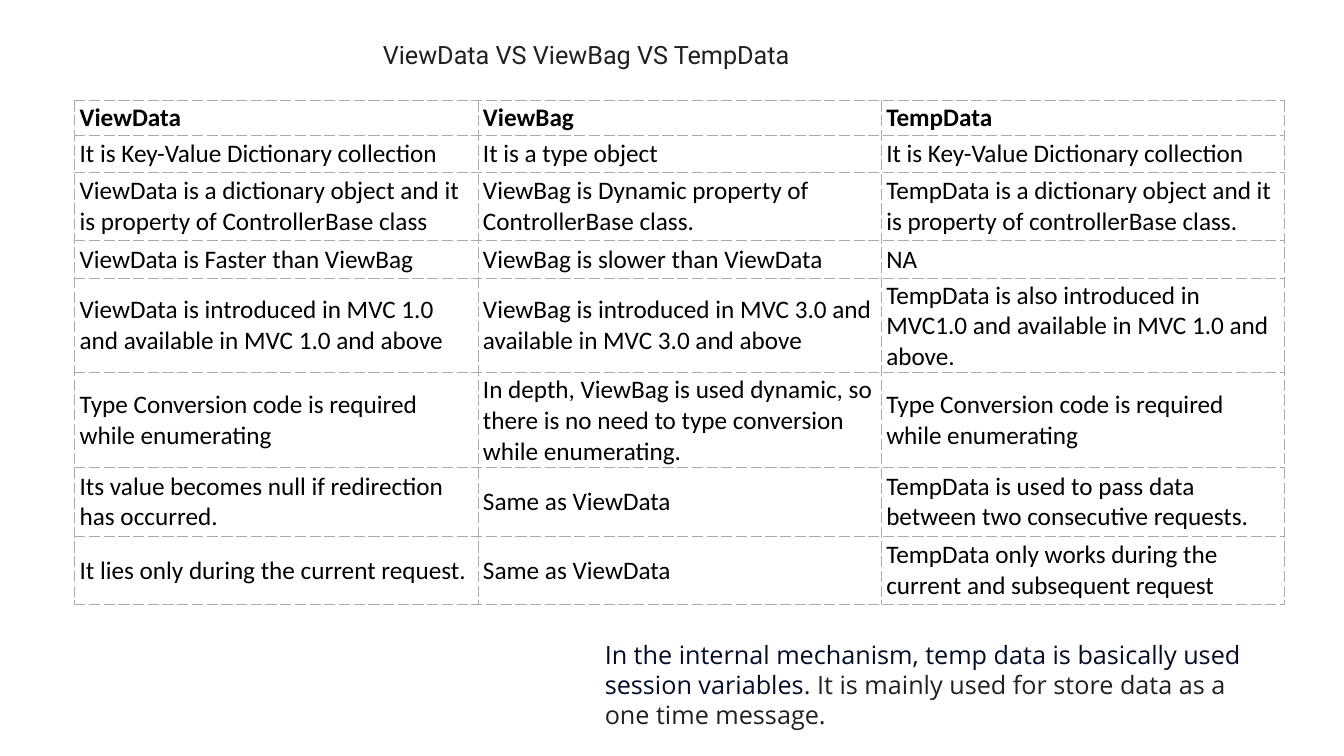
from dataclasses import dataclass

from lxml.etree import SubElement
from pptx import Presentation
from pptx.dml.color import RGBColor
from pptx.enum.text import MSO_ANCHOR as Anchor, MSO_AUTO_SIZE as AutoSize, PP_ALIGN as Align
from pptx.oxml.ns import qn
from pptx.util import Inches, Pt


@dataclass
class Span:
    text: str
    color: str


@dataclass
class Caption:
    left: float
    top: float
    width: float
    height: float
    font: str
    align: Align
    spans: list[Span]


TEXT_SIZE = 18
COLUMN_WIDTH = 4.0
ROW_HEIGHTS = [0.21, 0.37, 0.68, 0.37, 0.84, 0.84, 0.68, 0.68]
COMPARISON = [
    ("ViewData", "ViewBag", "TempData"),
    ("It is Key-Value Dictionary collection",
     "It is a type object",
     "It is Key-Value Dictionary collection"),
    ("ViewData is a dictionary object and it is property of ControllerBase class",
     "ViewBag is Dynamic property of ControllerBase class.",
     "TempData is a dictionary object and it is property of controllerBase class."),
    ("ViewData is Faster than ViewBag",
     "ViewBag is slower than ViewData",
     "NA"),
    ("ViewData is introduced in MVC 1.0 and available in MVC 1.0 and above",
     "ViewBag is introduced in MVC 3.0 and available in MVC 3.0 and above",
     "TempData is also introduced in MVC1.0 and available in MVC 1.0 and above."),
    ("Type Conversion code is required while enumerating",
     "In depth, ViewBag is used dynamic, so there is no need to type conversion while enumerating.",
     "Type Conversion code is required while enumerating"),
    ("Its value becomes null if redirection has occurred.",
     "Same as ViewData",
     "TempData is used to pass data between two consecutive requests."),
    ("It lies only during the current request.",
     "Same as ViewData",
     "TempData only works during the current and subsequent request"),
]
TITLE = Caption(2.48, 0.34, 6.67, 0.4, "Roboto", Align.CENTER,
                [Span("ViewData VS ViewBag VS TempData", "212121")])
FOOTNOTE = Caption(5.9, 6.29, 6.67, 1.01, "Open Sans", Align.LEFT, [
    Span("In the internal mechanism, temp data is basically used session variables", "040C28"),
    Span(". It is mainly used for store data as a one time message.", "202124"),
])


def paint(target, color: str) -> None:
    """Colour a font or a solid fill."""
    target.color.rgb = RGBColor.from_string(color)


def add_caption(page, caption: Caption) -> None:
    box = page.shapes.add_textbox(Inches(caption.left), Inches(caption.top),
                                  Inches(caption.width), Inches(caption.height))
    frame = box.text_frame
    frame.word_wrap = True
    frame.auto_size = AutoSize.SHAPE_TO_FIT_TEXT
    para = frame.paragraphs[0]
    para.alignment = caption.align
    para.font.name = caption.font
    para.font.size = Pt(TEXT_SIZE)
    for span in caption.spans:
        run = para.add_run()
        run.text = span.text
        paint(run.font, span.color)


def add_borders(cell, color: str, width: float) -> None:
    properties = cell._tc.get_or_add_tcPr()
    for side in ("a:lnL", "a:lnR", "a:lnT", "a:lnB"):
        line = SubElement(properties, qn(side), w=str(Pt(width)))
        fill = SubElement(line, qn("a:solidFill"))
        SubElement(fill, qn("a:srgbClr"), val=color)
        SubElement(line, qn("a:prstDash"), val="dash")


def fill_cell(cell, text: str, bold: bool) -> None:
    cell.text = text
    cell.vertical_anchor = Anchor.MIDDLE
    cell.margin_left = cell.margin_right = Inches(0.05)
    cell.margin_top = cell.margin_bottom = Inches(0.02)
    font = cell.text_frame.paragraphs[0].font
    font.name = "Calibri"
    font.size = Pt(TEXT_SIZE)
    font.bold = bold
    paint(font, "000000")
    add_borders(cell, "ABABAB", 0.6)
    cell.fill.solid()
    cell.fill.fore_color.rgb = RGBColor.from_string("FFFFFF")


def add_comparison(page) -> None:
    columns = len(COMPARISON[0])
    table = page.shapes.add_table(
        len(COMPARISON), columns, Inches(0.74), Inches(1),
        Inches(columns * COLUMN_WIDTH), Inches(sum(ROW_HEIGHTS))).table
    table.first_row = table.horz_banding = False
    for column in table.columns:
        column.width = Inches(COLUMN_WIDTH)
    for index, (height, texts) in enumerate(zip(ROW_HEIGHTS, COMPARISON)):
        row = table.rows[index]
        row.height = Inches(height)
        for cell, text in zip(row.cells, texts):
            fill_cell(cell, text, bold=index == 0)


def main() -> None:
    deck = Presentation()
    deck.slide_width, deck.slide_height = Inches(13.33), Inches(7.5)
    page = deck.slides.add_slide(deck.slide_layouts[6])

    # Title, comparison table and closing remark
    add_caption(page, TITLE)
    add_comparison(page)
    add_caption(page, FOOTNOTE)
    deck.save("out.pptx")


if __name__ == "__main__":
    main()
